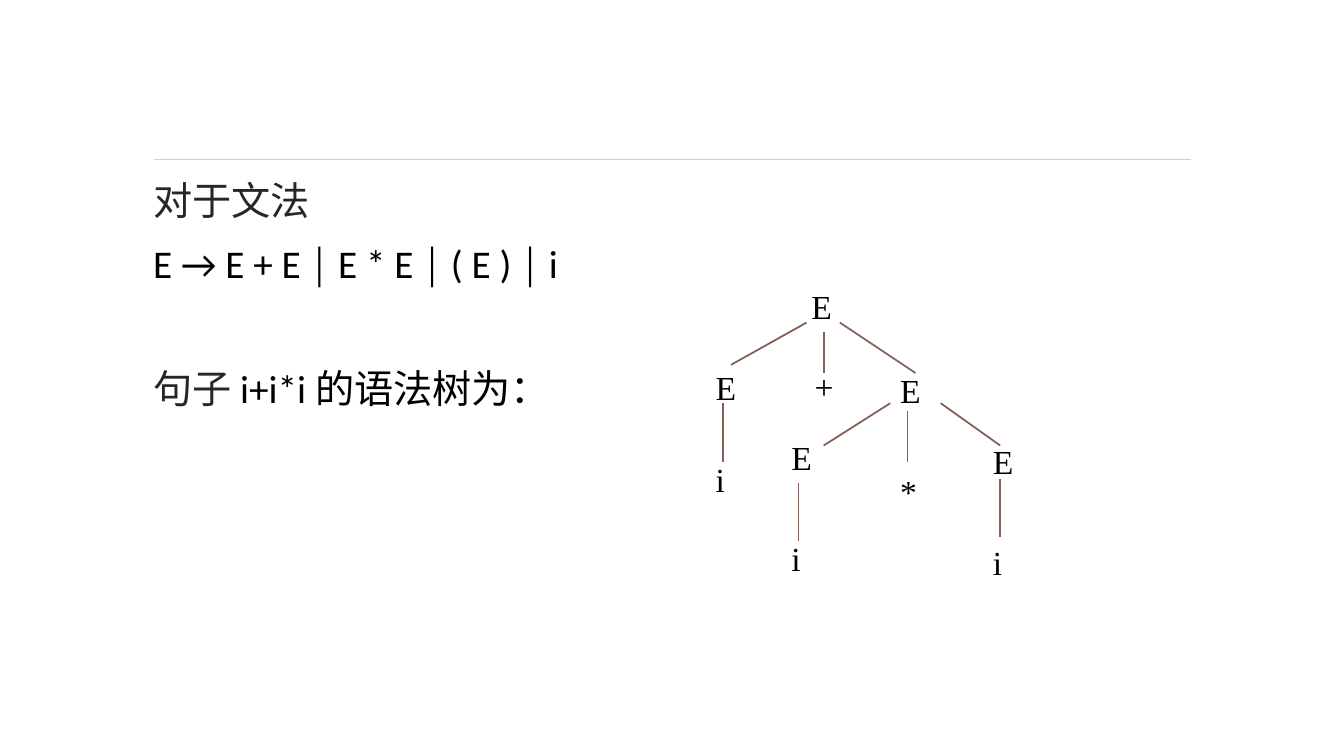
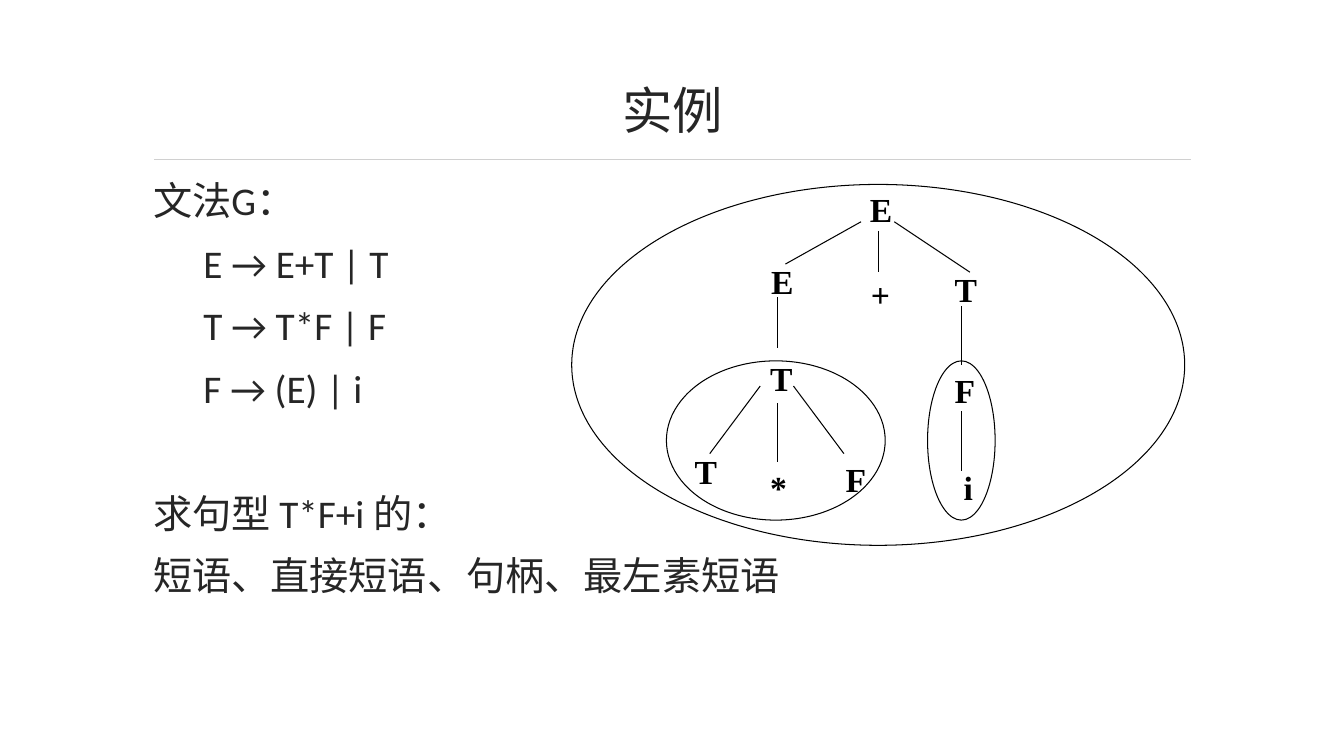
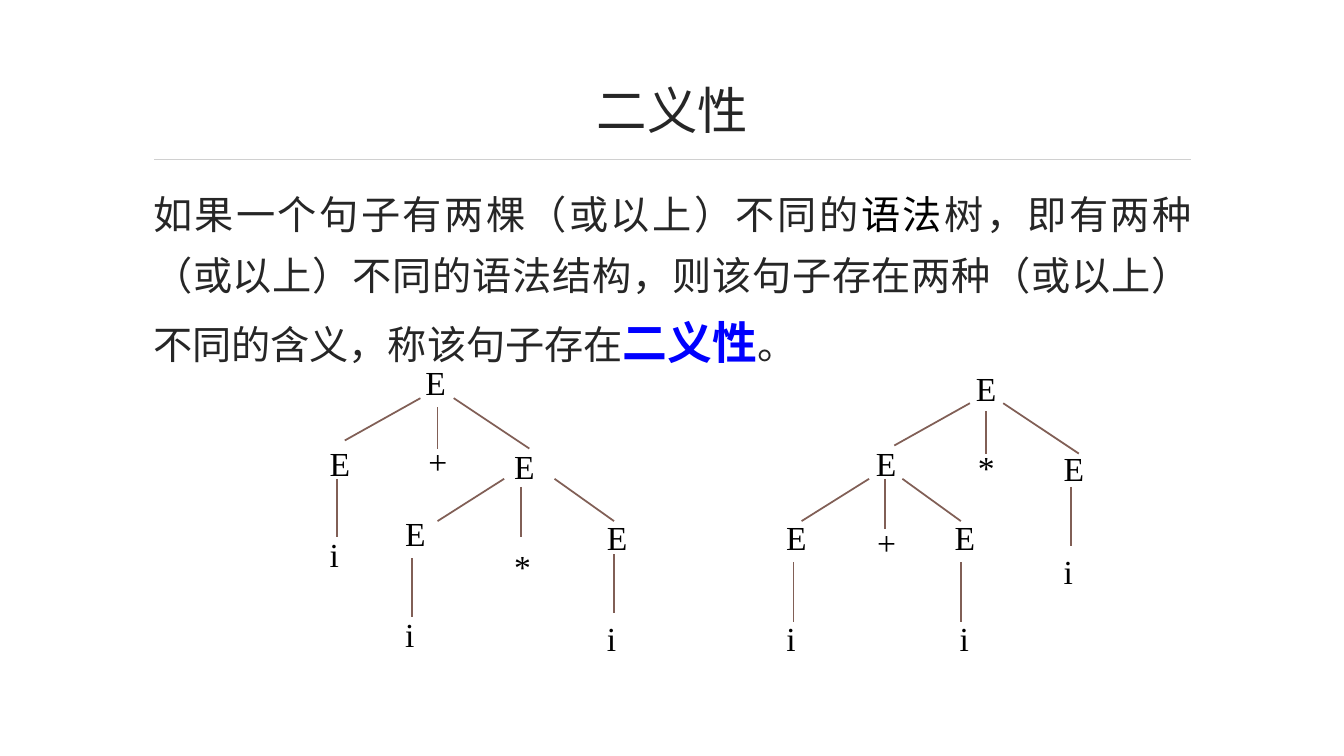
from dataclasses import dataclass, field
from typing import NamedTuple, Optional

from lxml import etree
from pptx import Presentation
from pptx.dml.color import RGBColor
from pptx.enum.shapes import MSO_CONNECTOR, MSO_SHAPE
from pptx.enum.text import MSO_ANCHOR, MSO_AUTO_SIZE, PP_ALIGN
from pptx.oxml.ns import qn
from pptx.slide import Slide
from pptx.text.text import Font
from pptx.util import Emu, Pt

EMU_PER_PX = 9144  # 100 px to the inch
STRAIGHT = MSO_CONNECTOR.STRAIGHT
OVAL = MSO_SHAPE.OVAL
MIDDLE, TOP = MSO_ANCHOR.MIDDLE, MSO_ANCHOR.TOP
CENTER, JUSTIFY, LEFT = PP_ALIGN.CENTER, PP_ALIGN.JUSTIFY, PP_ALIGN.LEFT
FIT_SHAPE = MSO_AUTO_SIZE.SHAPE_TO_FIT_TEXT

COLORS = {
    "text": "262626",
    "black": "000000",
    "term": "0000FF",
    "rule": "D0D0D0",
    "branch": "815F56",
}
MAIN_FONT, PROSE_FONT, TREE_FONT = "Calibri", "Noto Sans CJK SC", "Times New Roman"
BODY_SIZE, TITLE_SIZE, NODE_SIZE = 28, 36, 24
NODE_HEIGHT = 50
NODE_WIDTHS = {"E": 40, "T": 42, "F": 40, "+": 39, "*": 37, "i": 29}
SPACE_BEFORE, SPACE_AFTER, SECTION_GAP = 5, 6, 50


class Node(NamedTuple):
    symbol: str
    left: int
    top: int


class Branch(NamedTuple):
    x1: int
    y1: int
    x2: int
    y2: int


class Box(NamedTuple):
    left: int
    top: int
    width: int
    height: int


class Span(NamedTuple):
    text: str
    color: Optional[str] = None
    size: Optional[int] = None
    font: Optional[str] = None
    bold: Optional[bool] = None


@dataclass(frozen=True)
class Line:
    spans: list[Span]
    color: str = "text"
    font: str = MAIN_FONT
    indent: int = 0
    before: int = SPACE_BEFORE
    spacing: float = 1.0
    align: PP_ALIGN = LEFT


@dataclass(frozen=True)
class Tree:
    nodes: list[Node]
    branches: list[Branch]
    color: str = "branch"
    weight: float = 1.25
    bold: bool = False
    phrases: list[Box] = field(default_factory=list)


TITLE_BOX = Box(142, 67, 1050, 83)
BODY_BOX = Box(142, 167, 1050, 492)
RULE = Branch(153, 158, 1181, 158)

SUM_FIRST = Tree(
    nodes=[
        Node("E", 795, 279), Node("E", 700, 359), Node("+", 798, 358),
        Node("E", 883, 362), Node("i", 700, 450), Node("E", 775, 429),
        Node("*", 883, 462), Node("E", 975, 433), Node("i", 775, 529),
        Node("i", 975, 533),
    ],
    branches=[
        Branch(800, 320, 725, 362), Branch(817, 329, 817, 370),
        Branch(833, 320, 908, 370), Branch(717, 400, 717, 458),
        Branch(883, 400, 817, 442), Branch(900, 408, 900, 458),
        Branch(933, 400, 992, 442), Branch(792, 479, 792, 537),
        Branch(992, 475, 992, 533),
    ],
)
PRODUCT_FIRST = Tree(
    nodes=[
        Node("E", 958, 360), Node("E", 859, 434), Node("*", 960, 438),
        Node("E", 1045, 439), Node("E", 770, 508), Node("+", 860, 513),
        Node("E", 937, 508), Node("i", 770, 608), Node("i", 942, 608),
        Node("i", 1045, 542),
    ],
    branches=[
        Branch(962, 400, 887, 442), Branch(978, 408, 978, 450),
        Branch(995, 400, 1070, 450), Branch(862, 475, 795, 517),
        Branch(878, 475, 878, 525), Branch(895, 475, 953, 517),
        Branch(787, 558, 787, 617), Branch(953, 558, 953, 617),
        Branch(1062, 483, 1062, 542),
    ],
)
PHRASE_TREE = Tree(
    nodes=[
        Node("E", 853, 183), Node("E", 755, 254), Node("+", 854, 267),
        Node("T", 937, 262), Node("T", 754, 350), Node("T", 679, 442),
        Node("*", 754, 458), Node("F", 829, 450), Node("F", 937, 362),
        Node("i", 946, 458),
    ],
    branches=[
        Branch(854, 220, 779, 262), Branch(871, 229, 871, 270),
        Branch(887, 220, 962, 270), Branch(771, 295, 771, 345),
        Branch(754, 383, 704, 450), Branch(771, 400, 771, 458),
        Branch(787, 383, 837, 450), Branch(954, 304, 954, 362),
        Branch(954, 408, 954, 467),
    ],
    color="black",
    weight=0.75,
    bold=True,
    phrases=[Box(567, 183, 608, 358), Box(661, 358, 217, 158), Box(920, 358, 67, 158)],
)

SENTENCE_LINES = [
    Line([Span("对于文法")]),
    Line([Span("E → E + E │ E * E │ ( E ) │ i")], color="black"),
    Line([Span("句子 "), Span("i+i*i 的语法树为：", "black")], before=SECTION_GAP),
]
GRAMMAR_LINES = [
    Line([Span("文法G：")]),
    *(Line([Span(production)], indent=50)
      for production in ("E → E+T | T", "T → T*F | F", "F → (E) | i")),
    Line([Span("求句型 T*F+i 的：")], before=SECTION_GAP),
    Line([Span("短语、直接短语、句柄、最左素短语")]),
]
AMBIGUITY_LINES = [
    Line(
        [
            Span("如果一个句子有两棵（或以上）不同的"),
            Span("语法", "black"),
            Span("树，即有两种（或以上）不同的语法结构，则该句子存在两种"
                 "（或以上）不同的含义，称该句子存在"),
            Span("二义性", "term", 32, MAIN_FONT, True),
            Span("。"),
        ],
        font=PROSE_FONT,
        spacing=1.3,
        align=JUSTIFY,
    ),
]


def px(length: int) -> Emu:
    return Emu(length * EMU_PER_PX)


def rgb(name: str) -> RGBColor:
    return RGBColor.from_string(COLORS[name])


def set_font(font: Font, name: str, size: int, color: str, bold: bool = False) -> None:
    font.name, font.size, font.bold = name, Pt(size), bold
    font.color.rgb = rgb(color)


def add_text_frame(slide: Slide, box: Box, anchor: MSO_ANCHOR = TOP):
    frame = slide.shapes.add_textbox(*map(px, box)).text_frame
    frame.word_wrap = True
    frame.vertical_anchor = anchor
    return frame


def use_east_asian_font(paragraph) -> None:
    """Give Chinese characters the line height of the main font."""
    defaults = paragraph._p.get_or_add_pPr().find(qn("a:defRPr"))
    etree.SubElement(defaults, qn("a:ea")).set("typeface", MAIN_FONT)


def add_line(slide: Slide, ends: Branch, color: str, weight: float) -> None:
    connector = slide.shapes.add_connector(STRAIGHT, *map(px, ends))
    connector.line.color.rgb = rgb(color)
    connector.line.width = Pt(weight)
    etree.SubElement(connector._element.spPr, qn("a:effectLst"))


def add_title(slide: Slide, title: str) -> None:
    paragraph = add_text_frame(slide, TITLE_BOX, MIDDLE).paragraphs[0]
    paragraph.text = title
    paragraph.alignment = CENTER
    set_font(paragraph.font, MAIN_FONT, TITLE_SIZE, "text")
    use_east_asian_font(paragraph)


def add_body(slide: Slide, lines: list[Line]) -> None:
    frame = add_text_frame(slide, BODY_BOX)
    frame.margin_top = px(8)
    for index, line in enumerate(lines):
        paragraph = frame.add_paragraph() if index else frame.paragraphs[0]
        paragraph.alignment = line.align
        paragraph.line_spacing = line.spacing
        paragraph.space_before = Pt(line.before if index else 0)
        paragraph.space_after = Pt(SPACE_AFTER)
        if line.indent:
            paragraph._p.get_or_add_pPr().set("marL", str(px(line.indent)))
        set_font(paragraph.font, line.font, BODY_SIZE, line.color)
        use_east_asian_font(paragraph)
        for span in line.spans:
            run = paragraph.add_run()
            run.text = span.text
            if span.color:
                run.font.color.rgb = rgb(span.color)
            if span.size:
                run.font.size = Pt(span.size)
            if span.font:
                run.font.name = span.font
            if span.bold:
                run.font.bold = True


def add_tree(slide: Slide, tree: Tree, dx: int = 0, dy: int = 0) -> None:
    """Draw a syntax tree, moved by dx and dy."""
    for phrase in tree.phrases:
        oval = slide.shapes.add_shape(OVAL, *map(px, phrase))
        oval.shadow.inherit = False
        oval.fill.background()
        oval.line.color.rgb = rgb(tree.color)
        oval.line.width = Pt(tree.weight)
    for x1, y1, x2, y2 in tree.branches:
        ends = Branch(x1 + dx, y1 + dy, x2 + dx, y2 + dy)
        add_line(slide, ends, tree.color, tree.weight)
    for symbol, left, top in tree.nodes:
        box = Box(left + dx, top + dy, NODE_WIDTHS[symbol], NODE_HEIGHT)
        frame = add_text_frame(slide, box)
        frame.word_wrap = False
        frame.auto_size = FIT_SHAPE
        paragraph = frame.paragraphs[0]
        paragraph.text = symbol
        set_font(paragraph.font, TREE_FONT, NODE_SIZE, "black", tree.bold)


def add_slide(deck, lines: list[Line], title: str = "") -> Slide:
    slide = deck.slides.add_slide(deck.slide_layouts[6])
    add_line(slide, RULE, "rule", 0.75)
    if title:
        add_title(slide, title)
    add_body(slide, lines)
    return slide


def main() -> None:
    deck = Presentation()
    deck.slide_width, deck.slide_height = px(1333), px(750)

    sentence = add_slide(deck, SENTENCE_LINES)
    add_tree(sentence, SUM_FIRST)

    example = add_slide(deck, GRAMMAR_LINES, "实例")
    add_tree(example, PHRASE_TREE)

    ambiguity = add_slide(deck, AMBIGUITY_LINES, "二义性")
    add_tree(ambiguity, PRODUCT_FIRST)
    add_tree(ambiguity, SUM_FIRST, dx=-383, dy=75)

    deck.save("out.pptx")


if __name__ == "__main__":
    main()
